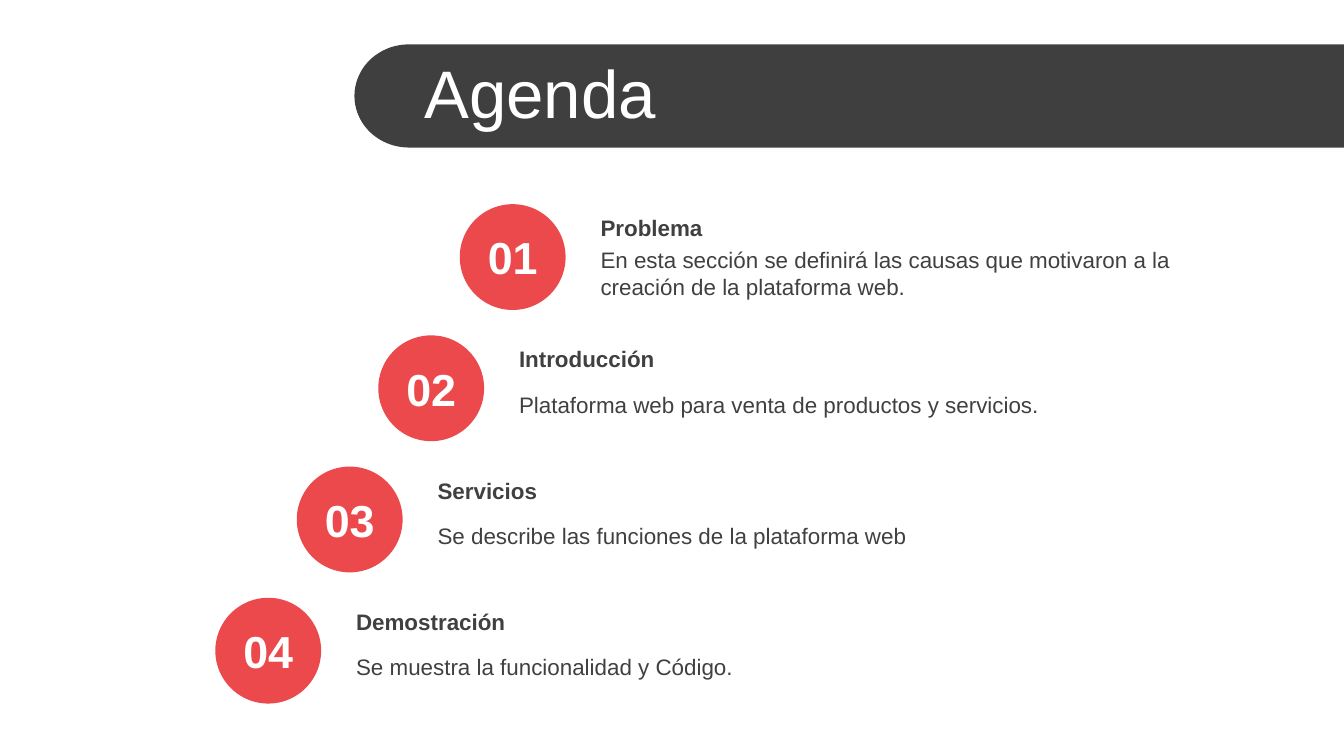
import math

import pptx
import pptx.dml.color
import pptx.enum.shapes
import pptx.enum.text
import pptx.util

Cm = pptx.util.Cm

TITLE = "Agenda"
# heading, description, lines the description takes
TOPICS = [
    ("Problema", "En esta sección se definirá las causas que motivaron a la "
                 "creación de la plataforma web.", 2),
    ("Introducción", "Plataforma web para venta de productos y servicios.", 1),
    ("Servicios", "Se describe las funciones de la plataforma web", 1),
    ("Demostración", "Se muestra la funcionalidad y Código.", 1),
]
DARK, TEXT, RED, WHITE = "3F3F3F", "404040", "EB494B", "FFFFFF"

# All lengths in centimetres
SLIDE_W, SLIDE_H = 25.4, 14.29
BANNER_LEFT, BANNER_TOP, BANNER_H, CURVE_W = 6.7, 0.84, 1.95, 1.03
FIRST_LEFT, FIRST_TOP, CIRCLE = 8.69, 3.86, 2.0
STEP_X, STEP_Y = -1.54, 2.48
TEXT_GAP, TEXT_W = 2.41, 12.8
LINE_H, TWO_LINE_H, NUMBER_H = 0.77, 1.28, 1.28
BODY_MIDDLE = 1.3


def color(hex_code):
    return pptx.dml.color.RGBColor.from_string(hex_code)


def paint(shape, fill):
    shape.shadow.inherit = False
    shape.fill.solid()
    shape.fill.fore_color.rgb = color(fill)
    shape.line.fill.background()


def add_text(slide, text, left, top, width, height, size=12, ink=TEXT,
             bold=False, centered=False, grow=True):
    box = slide.shapes.add_textbox(Cm(left), Cm(top), Cm(width), Cm(height))
    frame = box.text_frame
    frame.word_wrap = True
    frame.vertical_anchor = pptx.enum.text.MSO_ANCHOR.MIDDLE
    if grow:
        frame.auto_size = pptx.enum.text.MSO_AUTO_SIZE.SHAPE_TO_FIT_TEXT
    paragraph = frame.paragraphs[0]
    if centered:
        paragraph.alignment = pptx.enum.text.PP_ALIGN.CENTER
    run = paragraph.add_run()
    run.text = text
    run.font.name = "Arial"
    run.font.size = pptx.util.Pt(size)
    run.font.bold = bold
    run.font.color.rgb = color(ink)


def add_banner(slide):
    """Draw the title bar: a half ellipse on the left, square at the slide's edge."""
    radius = BANNER_H / 2
    center_x, center_y = BANNER_LEFT + CURVE_W, BANNER_TOP + radius
    curve = []
    for degrees in range(90, 271, 3):
        angle = math.radians(degrees)
        curve.append((Cm(center_x + CURVE_W * math.cos(angle)),
                      Cm(center_y + radius * math.sin(angle))))
    outline = slide.shapes.build_freeform(Cm(SLIDE_W), Cm(BANNER_TOP))
    outline.add_line_segments([(Cm(SLIDE_W), Cm(BANNER_TOP + BANNER_H))] + curve)
    paint(outline.convert_to_shape(), DARK)


def add_topic(slide, index, heading, description, lines):
    left = FIRST_LEFT + index * STEP_X
    top = FIRST_TOP + index * STEP_Y
    circle = slide.shapes.add_shape(pptx.enum.shapes.MSO_SHAPE.OVAL,
                                    Cm(left), Cm(top), Cm(CIRCLE), Cm(CIRCLE))
    paint(circle, RED)
    add_text(slide, f"{index + 1:02d}", left, top + (CIRCLE - NUMBER_H) / 2,
             CIRCLE, NUMBER_H, size=24, ink=WHITE, bold=True, centered=True)

    text_left = left + TEXT_GAP
    body_h = TWO_LINE_H if lines == 2 else LINE_H
    add_text(slide, description, text_left, top + BODY_MIDDLE - body_h / 2,
             TEXT_W, body_h)
    add_text(slide, heading, text_left, top + 0.06, TEXT_W, LINE_H, bold=True)


def main():
    deck = pptx.Presentation()
    deck.slide_width, deck.slide_height = Cm(SLIDE_W), Cm(SLIDE_H)
    slide = deck.slides.add_slide(deck.slide_layouts[6])
    add_banner(slide)
    add_text(slide, TITLE, 7.77, 0.94, 17.63, 1.6, size=36, ink=WHITE, grow=False)
    for index, topic in enumerate(TOPICS):
        add_topic(slide, index, *topic)
    deck.save("out.pptx")


if __name__ == "__main__":
    main()
